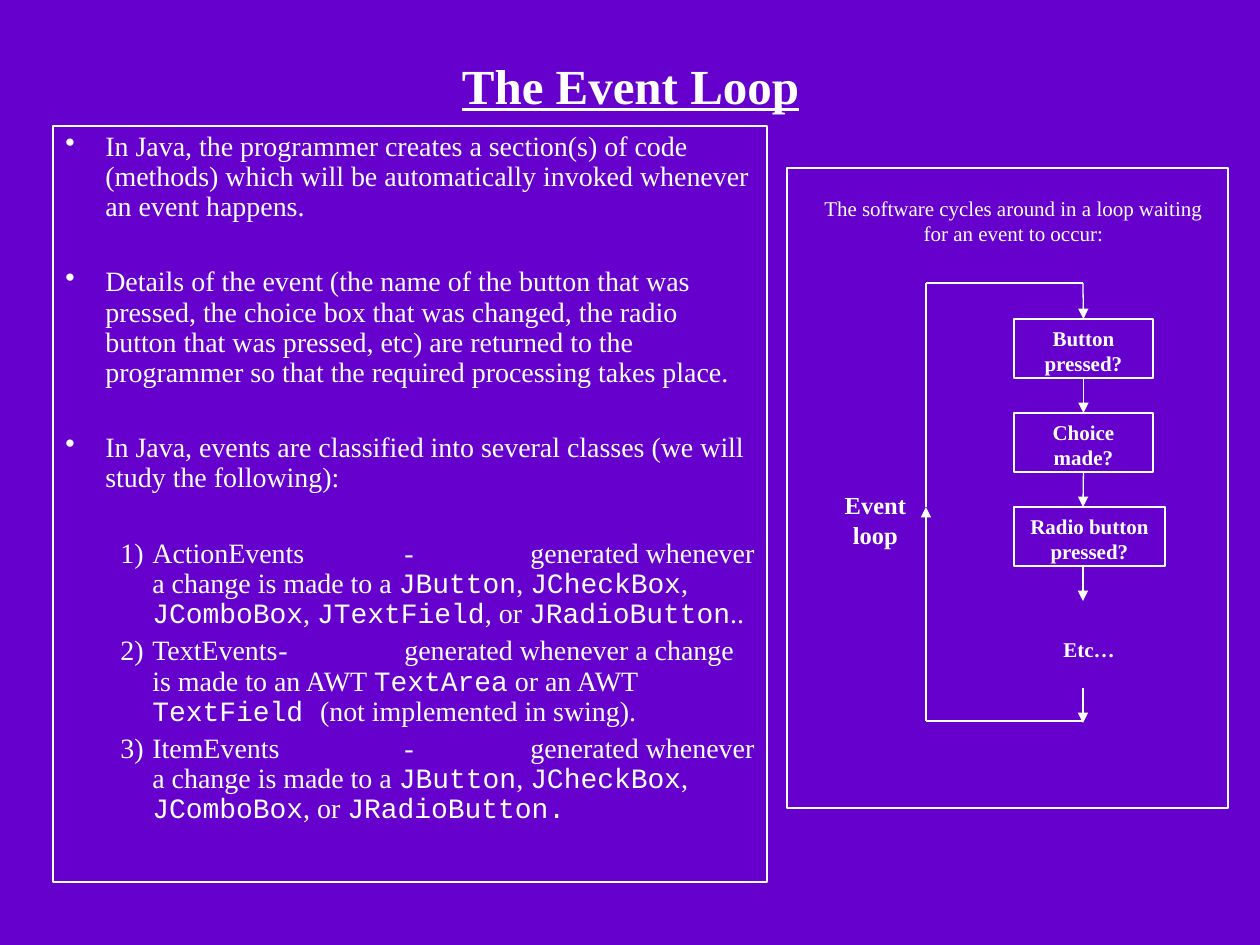
from dataclasses import dataclass
from typing import Optional

from lxml.etree import SubElement
from pptx import Presentation
from pptx.dml.color import RGBColor
from pptx.enum.shapes import MSO_CONNECTOR as Conn, MSO_SHAPE as Shape
from pptx.enum.text import MSO_ANCHOR as Anchor, PP_ALIGN as Align
from pptx.oxml.ns import qn
from pptx.util import Emu, Pt

PX_PER_INCH = 126
TOP, BOTTOM = 0, 2


def px(n: int) -> Emu:
    return Emu(round(n * 914400 / PX_PER_INCH))


@dataclass(frozen=True)
class Theme:
    back: RGBColor = RGBColor(0x66, 0x00, 0xCC)
    ink: RGBColor = RGBColor(0xFF, 0xFF, 0xFF)
    font: str = "Times New Roman"
    code: str = "Courier New"
    title: int = 28
    body: int = 16
    label: int = 14
    small: int = 12
    line: float = 0.75


@dataclass(frozen=True)
class Block:
    x: int
    y: int
    w: int
    h: int
    lines: tuple[str, ...] = ()
    size: int = 12
    bold: bool = True
    outlined: bool = True


@dataclass(frozen=True)
class Line:
    x1: int
    y1: int
    x2: int
    y2: int
    arrow: bool = True
    start: Optional[str] = None
    end: Optional[str] = None


@dataclass(frozen=True)
class Item:
    """A body paragraph; words between backticks are code."""
    text: str
    before: float
    left: int = 40
    hang: int = 40
    bullet: bool = True


T = Theme()
GAP, TIGHT = 25.7, 4

BODY = Block(53, 126, 714, 756)
PANEL = Block(787, 168, 441, 640)
INTRO = Block(798, 189, 431, 63, (
    "The software cycles around in a loop waiting for an event to occur:",), T.small, False, False)
LOOP_LABEL = Block(787, 484, 177, 71, ("Event", "loop"), T.label, True, False)
ETC = Block(1029, 630, 120, 59, ("Etc…",), T.small, True, False)

STEP_X, STEP_Y, STEP_H, PITCH = 1014, 319, 59, 94
STEPS = {
    "button": (139, ("Button", "pressed?")),
    "choice": (139, ("Choice made?",)),
    "radio": (151, ("Radio button pressed?",)),
}

FLOW_X, LOOP_X, LOOP_TOP, LOOP_MID, LOOP_END = 1083, 926, 283, 507, 721
LINES = [
    Line(FLOW_X, LOOP_TOP, FLOW_X, 319, end="button"),
    Line(FLOW_X, 378, FLOW_X, 413, start="button", end="choice"),
    Line(FLOW_X, 472, FLOW_X, 507, start="choice"),
    Line(FLOW_X, 566, FLOW_X, 601),
    Line(FLOW_X, 688, FLOW_X, 723),
    Line(FLOW_X, LOOP_TOP, LOOP_X, LOOP_TOP, False),
    Line(FLOW_X, LOOP_END, LOOP_X, LOOP_END, False),
    Line(LOOP_X, LOOP_END, LOOP_X, LOOP_MID),
    Line(LOOP_X, LOOP_MID, LOOP_X, LOOP_TOP, False),
]

POINTS = [
    "In Java, the programmer creates a section(s) of code (methods) which will be "
    "automatically invoked whenever an event happens.",
    "Details of the event (the name of the button that was pressed, the choice box that was "
    "changed, the radio button that was pressed, etc) are returned to the programmer so that "
    "the required processing takes place.",
    "In Java, events are classified into several classes (we will study the following):",
]
EVENTS = [
    "ActionEvents \t- \tgenerated whenever a change is made to a `JButton`, `JCheckBox`, "
    "`JComboBox`, `JTextField`, or `JRadioButton`..",
    "TextEvents\t-\tgenerated whenever a change is made to an AWT `TextArea` or an AWT "
    "`TextField `(not implemented in swing).",
    "ItemEvents\t-\tgenerated whenever a change is made to a `JButton`, `JCheckBox`, "
    "`JComboBox`, or `JRadioButton.`",
]


def add_run(p, text: str, size: int, **extra) -> None:
    r = p.add_run()
    r.text = text
    for name, value in {"name": T.font, "size": Pt(size), **extra}.items():
        setattr(r.font, name, value)
    r.font.color.rgb = T.ink


def add_block(s, b: Block):
    if b.outlined:
        sp = s.shapes.add_shape(Shape.RECTANGLE, *map(px, (b.x, b.y, b.w, b.h)))
        sp.shadow.inherit = False
        sp.fill.background()
        sp.line.color.rgb = T.ink
        sp.line.width = Pt(T.line)
    else:
        sp = s.shapes.add_textbox(*map(px, (b.x, b.y, b.w, b.h)))
    tf = sp.text_frame
    tf.word_wrap = True
    tf.vertical_anchor = Anchor.TOP
    for i, text in enumerate(b.lines):
        p = tf.add_paragraph() if i else tf.paragraphs[0]
        p.alignment = Align.CENTER
        add_run(p, text, b.size, bold=b.bold)
    return sp


def add_line(s, ln: Line, boxes: dict) -> None:
    cx = s.shapes.add_connector(Conn.STRAIGHT, *map(px, (ln.x1, ln.y1, ln.x2, ln.y2)))
    if ln.start:
        cx.begin_connect(boxes[ln.start], BOTTOM)
    if ln.end:
        cx.end_connect(boxes[ln.end], TOP)
    cx.line.color.rgb = T.ink
    cx.line.width = Pt(T.line)
    if ln.arrow:
        SubElement(cx.line._get_or_add_ln(), qn("a:tailEnd"), type="triangle")
    SubElement(cx._element.spPr, qn("a:effectLst"))


def add_items(tf, items: list[Item]) -> None:
    for i, item in enumerate(items):
        p = tf.add_paragraph() if i else tf.paragraphs[0]
        for name, value in {"alignment": Align.LEFT, "line_spacing": 0.9,
                            "space_before": Pt(item.before)}.items():
            setattr(p, name, value)
        pPr = p._p.get_or_add_pPr()
        for name, value in {"marL": px(item.left), "indent": px(-item.hang),
                            "defTabSz": px(PX_PER_INCH)}.items():
            pPr.set(name, str(value))
        if item.bullet:
            SubElement(pPr, qn("a:buChar"), char="•")
        for k, part in enumerate(item.text.split("`")):
            if part:
                add_run(p, part, T.body, name=T.code if k % 2 else T.font)


def main() -> None:
    prs = Presentation()
    prs.slide_width, prs.slide_height = px(1260), px(945)
    s = prs.slides.add_slide(prs.slide_layouts[5])
    s.background.fill.solid()
    s.background.fill.fore_color.rgb = T.back

    title = s.shapes.title
    for name, value in {"left": 95, "top": 53, "width": 1071, "height": 63}.items():
        setattr(title, name, px(value))
    title.text_frame.vertical_anchor = Anchor.MIDDLE
    p = title.text_frame.paragraphs[0]
    p.alignment = Align.CENTER
    add_run(p, "The Event Loop", T.title, bold=True, underline=True)

    items = [Item(text, GAP if i else TIGHT) for i, text in enumerate(POINTS)]
    items += [Item(f"{n})\t{text}", TIGHT if n > 1 else GAP, 87, 32, False)
              for n, text in enumerate(EVENTS, 1)]
    add_items(add_block(s, BODY).text_frame, items)

    add_block(s, PANEL)
    boxes = {name: add_block(s, Block(STEP_X, STEP_Y + i * PITCH, w, STEP_H, lines))
             for i, (name, (w, lines)) in enumerate(STEPS.items())}
    for label in (INTRO, LOOP_LABEL, ETC):
        add_block(s, label)
    for ln in LINES:
        add_line(s, ln, boxes)
    prs.save("out.pptx")


if __name__ == "__main__":
    main()
